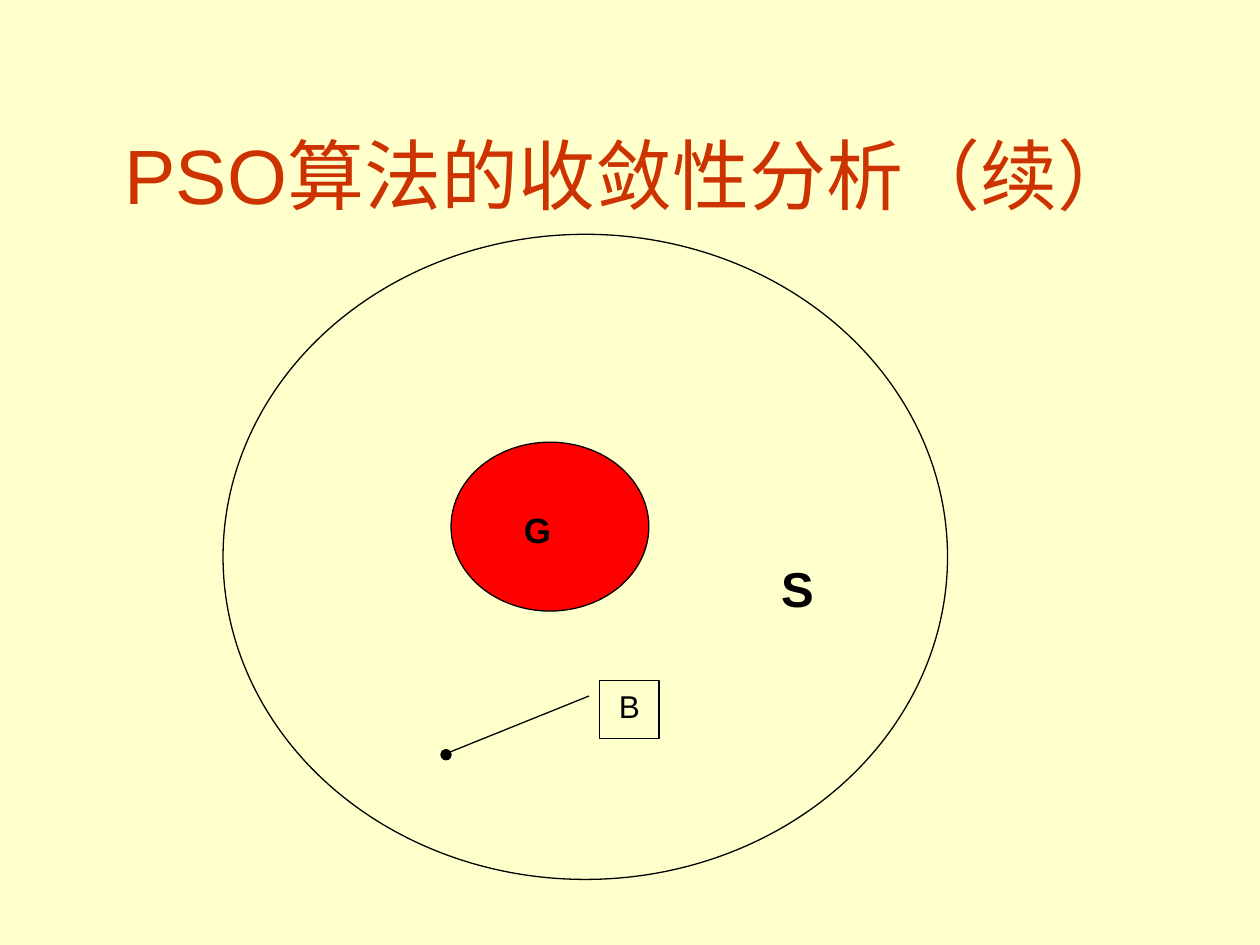
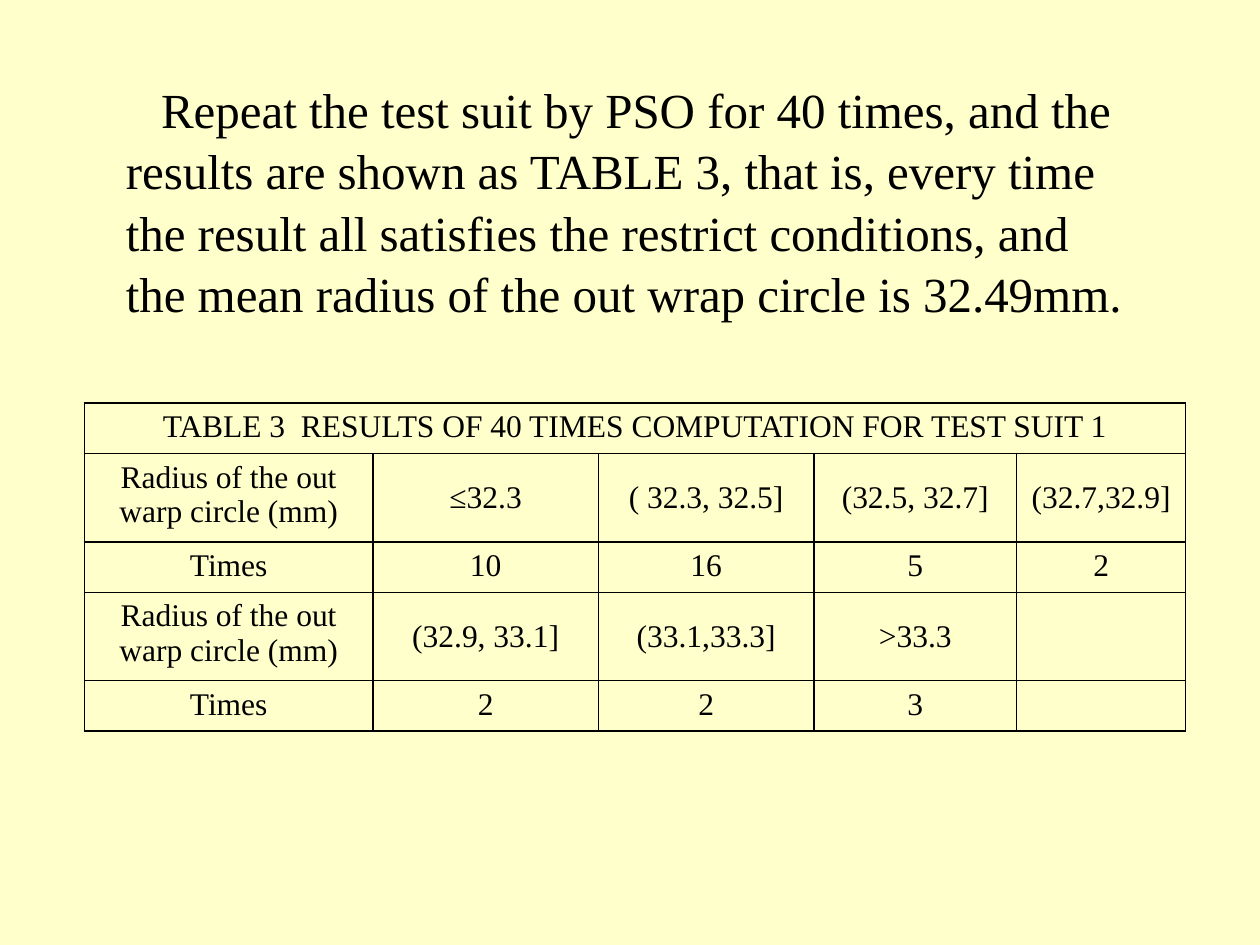
from lxml.etree import SubElement
from pptx import Presentation
from pptx.dml.color import RGBColor
from pptx.enum.shapes import MSO_SHAPE
from pptx.enum.text import MSO_ANCHOR, PP_ALIGN
from pptx.oxml.ns import qn
from pptx.util import Inches, Pt

COLORS = {"paper": "FFFFCC", "title": "CC3300", "ink": "000000", "goal": "FF0000"}
SANS, SERIF = "Arial", "Times New Roman"
RADIUS_LABEL = "Radius of the out\nwarp circle (mm)"
RESULTS = [
    ["TABLE 3  RESULTS OF 40 TIMES COMPUTATION FOR TEST SUIT 1", "", "", "", ""],
    [RADIUS_LABEL, "≤32.3", "( 32.3, 32.5]", "(32.5, 32.7]", "(32.7,32.9]"],
    ["Times", "10", "16", "5", "2"],
    [RADIUS_LABEL, "(32.9, 33.1]", "(33.1,33.3]", ">33.3", ""],
    ["Times", "2", "2", "3", ""],
]
COL_SHARES = [2.29, 1.79, 1.71, 1.61, 1.34]
ROW_SHARES = [0.4, 0.7, 0.4, 0.7, 0.4]


def rgb(name):
    """Return the named colour."""
    return RGBColor.from_string(COLORS[name])


def box_of(*lengths):
    """Turn left, top, width and height into inches."""
    return [Inches(v) for v in lengths]


def write(tf, text, size, font=SANS, color="ink", bold=False, align=PP_ALIGN.LEFT):
    """Fill a text frame with one formatted paragraph per line."""
    tf.text = text
    tf.word_wrap = True
    formats = {"size": Pt(size), "name": font, "bold": bold}
    for p in tf.paragraphs:
        p.alignment = align
        for r in p.runs:
            for key, value in formats.items():
                setattr(r.font, key, value)
            r.font.color.rgb = rgb(color)


def add_title(s, text, box):
    """Move and format the title placeholder."""
    title = s.shapes.title
    for key, value in zip(("left", "top", "width", "height"), box_of(*box)):
        setattr(title, key, value)
    title.text_frame.vertical_anchor = MSO_ANCHOR.MIDDLE
    write(title.text_frame, text, 44, color="title", align=PP_ALIGN.CENTER)


def add_outlined(s, kind, box, fill):
    """Add a filled shape with a thin dark outline."""
    sp = s.shapes.add_shape(kind, *box_of(*box))
    sp.shadow.inherit = False
    sp.fill.solid()
    sp.fill.fore_color.rgb = rgb(fill)
    sp.line.color.rgb = rgb("ink")
    sp.line.width = Pt(0.75)
    return sp


def add_search_space(s, box):
    """Draw space S with goal region G and the marked point B."""
    x, y, w, h = box
    add_outlined(s, MSO_SHAPE.OVAL, box, "paper")
    add_outlined(s, MSO_SHAPE.OVAL, (x + 1.81, y + 1.65, 1.57, 1.34), "goal")
    labels = [("S", 28, (x + 4.33, y + 2.52, 0.71, 0.57)),
              ("G", 20, (x + 2.29, y + 2.13, 0.55, 0.43))]
    for text, size, place in labels:
        tb = s.shapes.add_textbox(*box_of(*place))
        write(tb.text_frame, text, size, bold=True)
    add_outlined(s, MSO_SHAPE.OVAL, (x + 1.73, y + 4.09, 0.08, 0.08), "ink")
    callout = add_outlined(s, MSO_SHAPE.LINE_CALLOUT_1,
                           (x + 2.99, y + 3.54, 0.47, 0.46), "paper")
    for i, value in enumerate((0.27, -0.18, 1.25, -2.56)):
        callout.adjustments[i] = value
    callout.text_frame.vertical_anchor = MSO_ANCHOR.TOP
    write(callout.text_frame, "B", 18, align=PP_ALIGN.CENTER)


def add_statement(s, text, box):
    """Add the paragraph with an indented first line."""
    tf = s.shapes.add_textbox(*box_of(*box)).text_frame
    write(tf, text, 28, SERIF)
    tf.vertical_anchor = MSO_ANCHOR.MIDDLE
    p = tf.paragraphs[0]
    p.line_spacing = 1.04
    p._p.get_or_add_pPr().set("indent", str(Inches(0.28)))


def add_borders(cell):
    """Draw all four borders of a table cell."""
    tc_pr = cell._tc.get_or_add_tcPr()
    for side in ("lnL", "lnR", "lnT", "lnB"):
        ln = SubElement(tc_pr, qn(f"a:{side}"), w=str(Pt(1)))
        fill = SubElement(ln, qn("a:solidFill"))
        SubElement(fill, qn("a:srgbClr"), val=COLORS["ink"])


def add_results(s, box):
    """Add the results table, sharing out the box by column and row."""
    x, y, w, h = box
    table = s.shapes.add_table(len(RESULTS), len(COL_SHARES), *box_of(*box)).table
    table.first_row = table.horz_banding = False
    for col, share in zip(table.columns, COL_SHARES):
        col.width = Inches(w * share / sum(COL_SHARES))
    for row, share in zip(table.rows, ROW_SHARES):
        row.height = Inches(h * share / sum(ROW_SHARES))
    for i, texts in enumerate(RESULTS):
        for j, text in enumerate(texts):
            cell = table.cell(i, j)
            write(cell.text_frame, text, 18, SERIF, align=PP_ALIGN.CENTER)
            centred = j and i in (1, 3)
            cell.vertical_anchor = MSO_ANCHOR.MIDDLE if centred else MSO_ANCHOR.TOP
            add_borders(cell)
            cell.fill.background()
    table.cell(0, 0).merge(table.cell(0, len(COL_SHARES) - 1))


def convergence_slide(prs):
    """Build the slide on convergence."""
    s = prs.slides.add_slide(prs.slide_layouts[5])
    add_title(s, "PSO算法的收敛性分析（续）", (0.33, 0.75, 9.34, 1.25))
    add_search_space(s, (1.77, 1.86, 5.75, 5.12))


def results_slide(prs):
    """Build the slide with the test results."""
    s = prs.slides.add_slide(prs.slide_layouts[6])
    add_statement(s, "Repeat the test suit by PSO for 40 times, and the results are "
                  "shown as TABLE 3, that is, every time the result all satisfies the "
                  "restrict conditions, and the mean radius of the out wrap circle is "
                  "32.49mm.", (0.9, 0.6, 8.11, 1.97))
    add_results(s, (0.67, 3.2, 8.74, 2.6))


def main():
    """Build and save the presentation."""
    prs = Presentation()
    prs.slide_width, prs.slide_height = Inches(10), Inches(7.5)
    fill = prs.slide_master.background.fill
    fill.solid()
    fill.fore_color.rgb = rgb("paper")
    convergence_slide(prs)
    results_slide(prs)
    prs.save("out.pptx")


if __name__ == "__main__":
    main()
